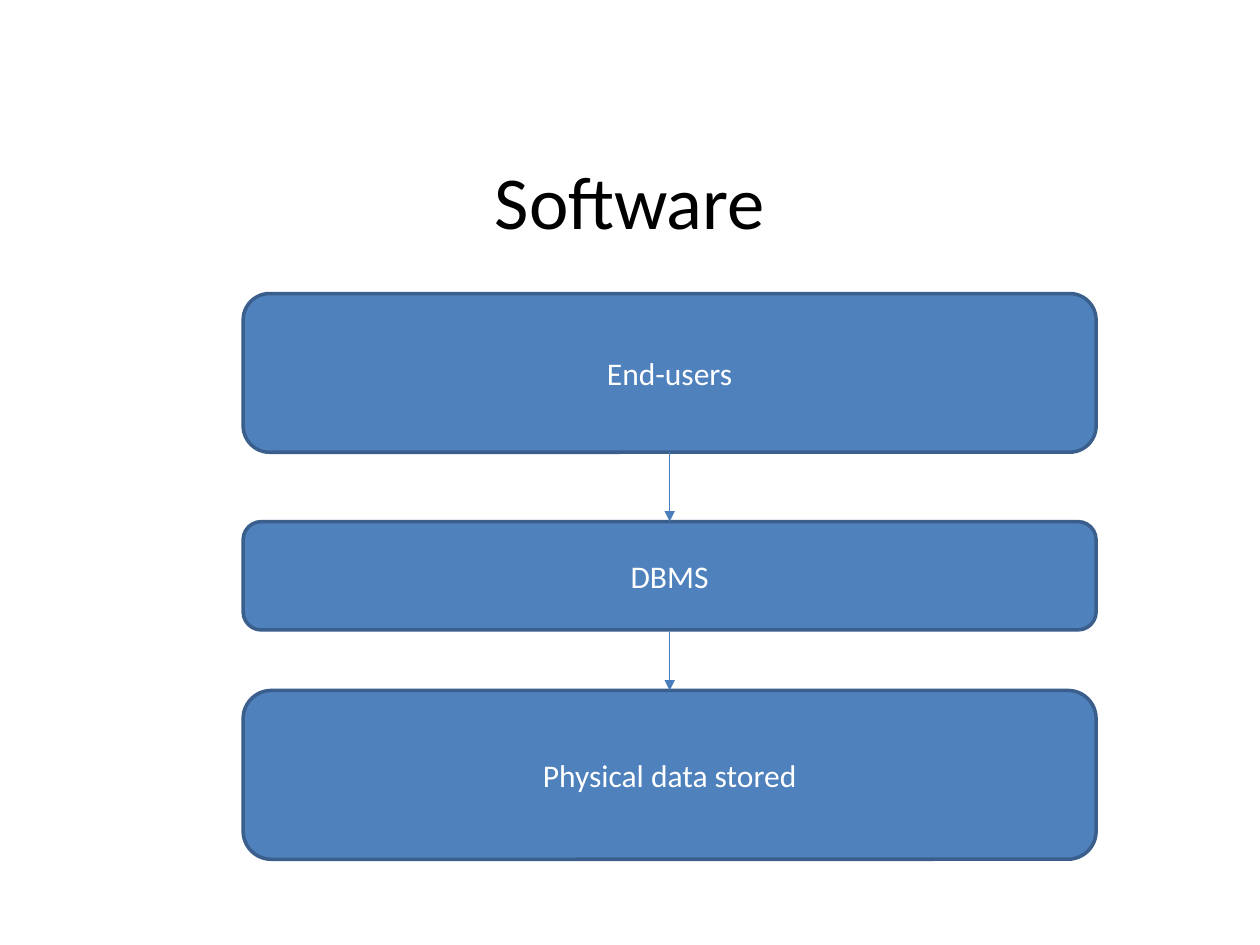
from lxml import etree
from pptx import Presentation
from pptx.dml.color import RGBColor
from pptx.enum.shapes import MSO_CONNECTOR, MSO_SHAPE
from pptx.enum.text import MSO_ANCHOR, MSO_AUTO_SIZE, PP_ALIGN
from pptx.oxml.ns import qn
from pptx.util import Inches, Pt

ROUND = MSO_SHAPE.ROUNDED_RECTANGLE
LINE = MSO_CONNECTOR.STRAIGHT
MID = MSO_ANCHOR.MIDDLE
FIXED = MSO_AUTO_SIZE.NONE
CENTER = PP_ALIGN.CENTER
TOP, BOTTOM = 0, 2
FONT = "Calibri"
BLACK = RGBColor(0, 0, 0)
WHITE = RGBColor(255, 255, 255)
BLUE = RGBColor(0x4F, 0x81, 0xBD)
EDGE = RGBColor(0x3A, 0x5F, 0x8C)
ARROW = RGBColor(0x4A, 0x7E, 0xBB)
TITLE_BOX = (0.75, 1.23, 8.5, 0.71)
STACK_BOX = (1.93, 2.33, 6.77, 4.49)
LAYERS = [
    ("End-users", 0, 1.26),
    ("DBMS", 1.81, 0.86),
    ("Physical data stored", 3.15, 1.34),
]


def write(shape, text, size, color):
    """Put one centred run of text in a shape."""
    frame = shape.text_frame
    frame.word_wrap = True
    frame.auto_size = FIXED
    frame.vertical_anchor = MID
    para = frame.paragraphs[0]
    para.alignment = CENTER
    run = para.add_run()
    run.text = text
    run.font.name = FONT
    run.font.size = Pt(size)
    run.font.color.rgb = color


def add_title(slide, box, text):
    """Place and fill the title placeholder."""
    title = slide.shapes.title
    title.left, title.top, title.width, title.height = map(Inches, box)
    write(title, text, 42.7, BLACK)


def add_layer(slide, box, text):
    """Draw one rounded layer of the stack."""
    layer = slide.shapes.add_shape(ROUND, *map(Inches, box))
    layer.shadow.inherit = False
    layer.fill.solid()
    layer.fill.fore_color.rgb = BLUE
    layer.line.color.rgb = EDGE
    layer.line.width = Pt(2)
    write(layer, text, 18, WHITE)
    return layer


def add_arrow(slide, start, end):
    """Join two layers with a downward arrow."""
    arrow = slide.shapes.add_connector(LINE, 0, 0, 0, 0)
    arrow.begin_connect(start, BOTTOM)
    arrow.end_connect(end, TOP)
    arrow.line.color.rgb = ARROW
    arrow.line.width = Pt(0.75)
    props = arrow.line._get_or_add_ln()
    etree.SubElement(props, qn("a:tailEnd"), type="triangle")
    etree.SubElement(arrow._element.spPr, qn("a:effectLst"))


def add_stack(slide, box, layers):
    """Draw the layers in a box and link each to the next."""
    left, top, width, _ = box
    shapes = [
        add_layer(slide, (left, top + drop, width, height), text)
        for text, drop, height in layers
    ]
    for start, end in zip(shapes, shapes[1:]):
        add_arrow(slide, start, end)


def main():
    """Build and save the slide."""
    deck = Presentation()
    deck.slide_width, deck.slide_height = Inches(10), Inches(7.5)
    slide = deck.slides.add_slide(deck.slide_layouts[5])
    add_title(slide, TITLE_BOX, "Software")
    add_stack(slide, STACK_BOX, LAYERS)
    deck.save("out.pptx")


if __name__ == "__main__":
    main()
